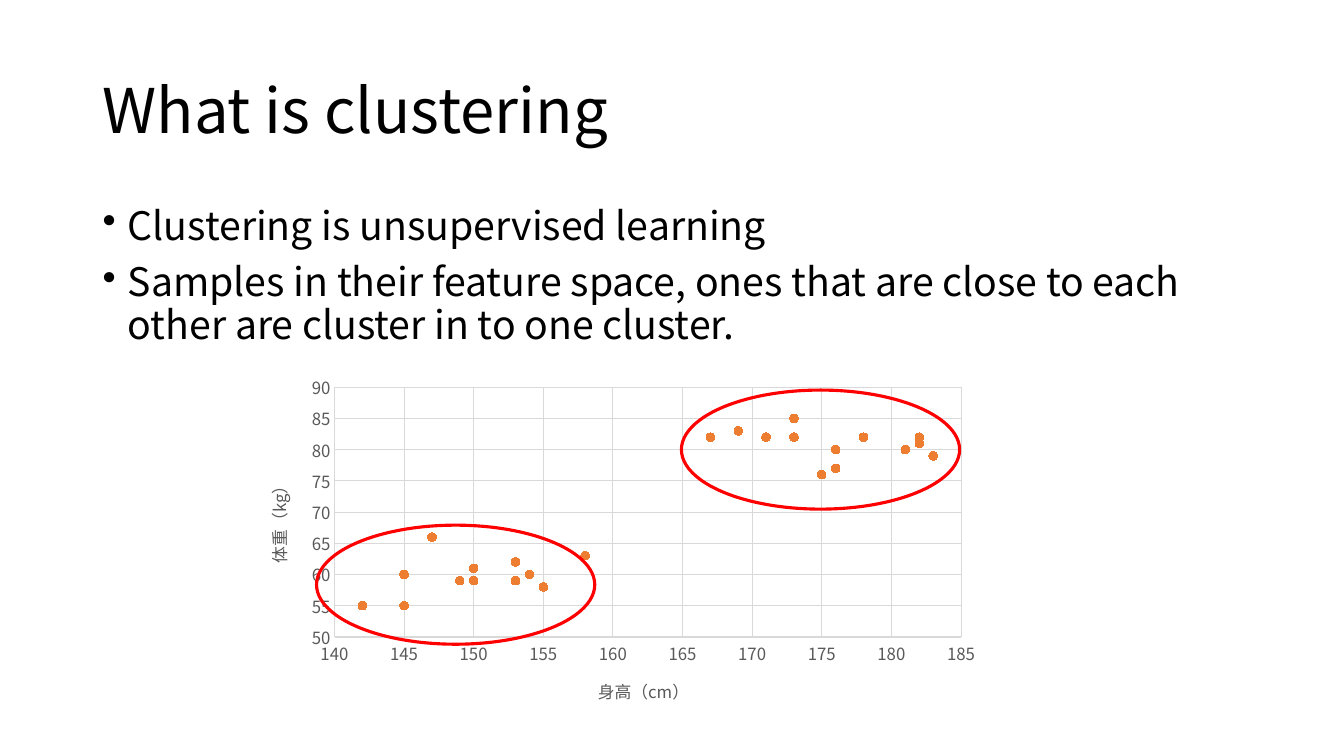
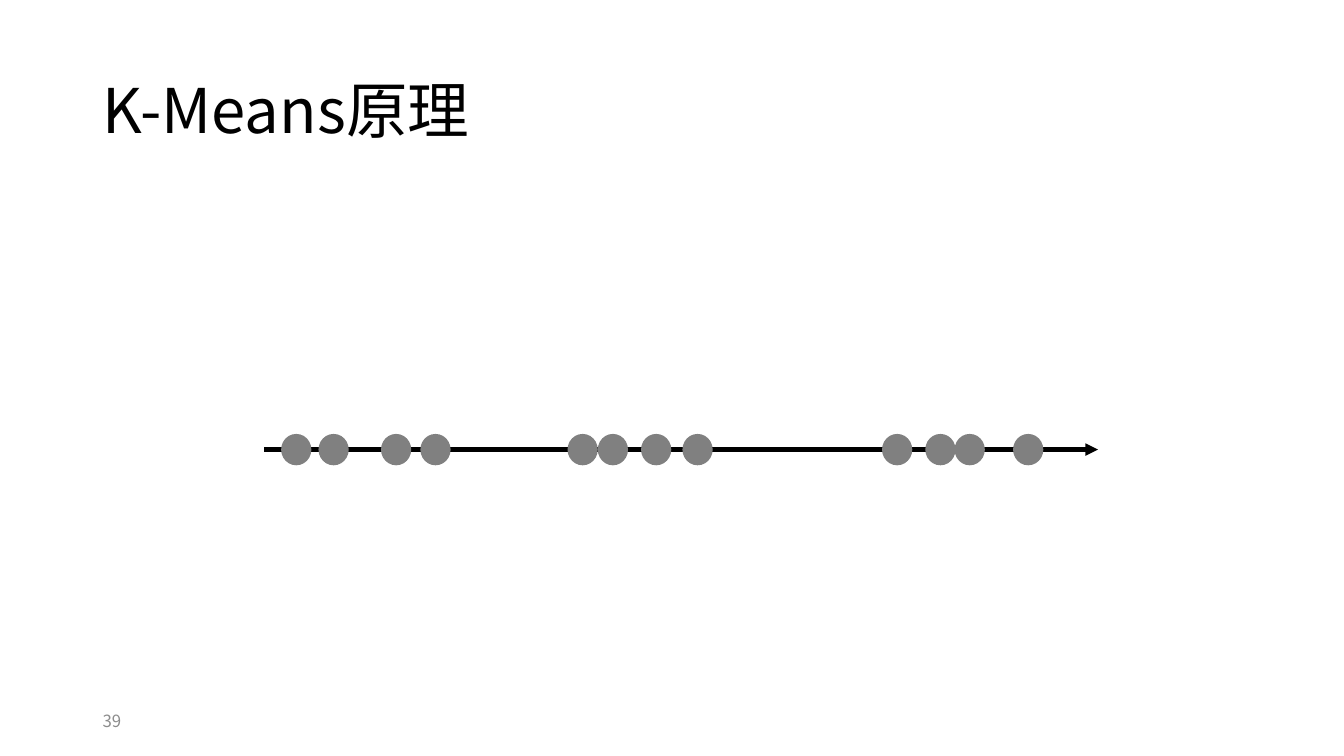
"""Build two slides that introduce clustering and the K-Means principle."""
from lxml.etree import SubElement
from pptx import Presentation
from pptx.chart.data import XyChartData
from pptx.dml.color import RGBColor as RGB
from pptx.enum.chart import XL_CHART_TYPE as CHART, XL_MARKER_STYLE as MARKER
from pptx.enum.chart import XL_TICK_MARK as TICK
from pptx.enum.shapes import MSO_CONNECTOR as CONNECTOR, MSO_SHAPE as SHAPE
from pptx.enum.text import MSO_ANCHOR as ANCHOR
from pptx.oxml import parse_xml
from pptx.oxml.ns import nsdecls, qn
from pptx.util import Inches, Pt

WIDTH, HEIGHT = Inches(13.33), Inches(7.5)
FONT = "Noto Sans CJK SC"
COLORS = {"text": "000000", "axis": "595959", "grid": "D9D9D9", "sample": "ED7D31",
          "ring": "FF0000", "dot": "808080", "number": "8C8C8C"}
STYLES = {
    "title": {"size": Pt(44), "color": "text"},
    "body": {"size": Pt(28), "color": "text"},
    "axis": {"size": Pt(12), "color": "axis", "bold": False},
    "number": {"size": Pt(12), "color": "number"},
}
LEFT, TEXT_WIDTH = 6.9, 86.25
RING_SIZE = (20.7, 15.75)
RINGS = [(50.7, 51.6), (23.55, 69.47)]
LINE_Y, DOT_WIDTH, DOT_HEIGHT = 59.47, 2.25, 4.15
DOTS = [20.92, 23.7, 28.35, 31.28, 42.23, 44.48, 47.7, 50.78, 65.63, 68.85, 71.03, 75.38]
PLOT_AREA = {"x": 0.12, "y": 0.06, "w": 0.84, "h": 0.7}
SAMPLES = [
    (176, 80), (181, 80), (182, 81), (176, 77), (173, 82), (167, 82), (178, 82), (175, 76),
    (182, 82), (169, 83), (173, 85), (171, 82), (183, 79), (178, 82), (171, 82),
    (150, 61), (142, 55), (153, 62), (150, 59), (147, 66), (145, 60), (150, 61), (139, 61),
    (145, 55), (153, 59), (158, 63), (136, 56), (155, 58), (154, 60), (149, 59),
]


def place(x, y, *size):
    """Turn percentages of the slide's width and height into lengths."""
    sides = (WIDTH, HEIGHT) * 2
    return [int(side * share / 100) for side, share in zip(sides, (x, y, *size))]


def paint(fill, color):
    """Give a fill one of the named colours."""
    fill.solid()
    fill.fore_color.rgb = RGB.from_string(COLORS[color])


def style_font(font, style):
    """Apply a named text style for Latin and East Asian letters."""
    values = dict(STYLES[style], name=FONT)
    paint(font.fill, values.pop("color"))
    for name, value in values.items():
        setattr(font, name, value)
    SubElement(font._rPr, qn("a:ea"), typeface=FONT)


def add_bullet(p):
    """Give a paragraph a round bullet with a hanging indent."""
    pPr = p._p.get_or_add_pPr()
    pPr.set("marL", str(Inches(0.25)))
    pPr.set("indent", str(-Inches(0.25)))
    SubElement(pPr, qn("a:buChar"), char="•")


def add_text(slide, lines, box, style, anchor=ANCHOR.MIDDLE, bullets=False, spacing=0.9):
    """Add a wrapped text box with one paragraph per line."""
    tf = slide.shapes.add_textbox(*place(*box)).text_frame
    tf.word_wrap, tf.vertical_anchor = True, anchor
    for i, line in enumerate(lines):
        p = tf.add_paragraph() if i else tf.paragraphs[0]
        if bullets:
            add_bullet(p)
        p.line_spacing = spacing
        if i:
            p.space_before = Pt(10)
        r = p.add_run()
        r.text = line
        style_font(r.font, style)


def add_slide(prs, title):
    """Add a blank slide with the shared title."""
    slide = prs.slides.add_slide(prs.slide_layouts[6])
    add_text(slide, [title], (LEFT, 5.33, TEXT_WIDTH, 19.33), "title")
    return slide


def add_ellipse(slide, box, fill=None, line=None):
    """Add a filled dot or an outlined ring."""
    sp = slide.shapes.add_shape(SHAPE.OVAL, *place(*box))
    sp.shadow.inherit = False
    for target, color in ((sp.fill, fill), (sp.line.fill, line)):
        if color:
            paint(target, color)
        else:
            target.background()
    if line:
        sp.line.width = Pt(2.25)


def add_arrow(slide, start, end):
    """Add a thick line that ends in a triangular head."""
    line = slide.shapes.add_connector(CONNECTOR.STRAIGHT, *place(*start), *place(*end))
    paint(line.line.fill, "text")
    line.line.width = Pt(3)
    SubElement(line.line._get_or_add_ln(), qn("a:tailEnd"), type="triangle")
    SubElement(line._element.spPr, qn("a:effectLst"))


def style_axis(axis, title, low, high):
    """Set an axis's title, scale, grid and labels."""
    values = {"minimum_scale": low, "maximum_scale": high, "major_unit": 5,
              "major_tick_mark": TICK.NONE, "minor_tick_mark": TICK.NONE,
              "has_major_gridlines": True}
    for name, value in values.items():
        setattr(axis, name, value)
    axis.format.line.fill.background()
    grid = axis.major_gridlines.format.line
    paint(grid.fill, "grid")
    grid.width = Pt(0.75)
    style_font(axis.tick_labels.font, "axis")
    r = axis.axis_title.text_frame.paragraphs[0].add_run()
    r.text = title
    style_font(r.font, "axis")


def fix_plot_area(chart):
    """Pin the inner plot area to fixed shares of the chart."""
    area = chart._chartSpace.chart.plotArea
    for old in area.findall(qn("c:layout")):
        area.remove(old)
    modes = '<c:xMode val="edge"/><c:yMode val="edge"/>'
    shares = "".join(f'<c:{side} val="{share}"/>' for side, share in PLOT_AREA.items())
    area.insert(0, parse_xml(
        f'<c:layout {nsdecls("c")}><c:manualLayout><c:layoutTarget val="inner"/>'
        f"{modes}{shares}</c:manualLayout></c:layout>"))


def add_scatter(slide, box):
    """Add the scatter chart of heights and weights."""
    data = XyChartData()
    series = data.add_series("Series 1")
    for height, weight in SAMPLES:
        series.add_data_point(height, weight)
    chart = slide.shapes.add_chart(CHART.XY_SCATTER, *place(*box), data).chart
    chart.has_title = chart.has_legend = False
    chart.font.name, chart.font.size = FONT, Pt(10)
    plot = chart.plots[0]
    plot.vary_by_categories = False
    points = plot.series[0]
    points.format.line.fill.background()
    points.marker.style, points.marker.size = MARKER.CIRCLE, 6
    paint(points.marker.format.fill, "sample")
    points.marker.format.line.fill.background()
    style_axis(chart.category_axis, "身高（cm）", 140, 185)
    style_axis(chart.value_axis, "体重（kg）", 50, 90)
    fix_plot_area(chart)


def build_clustering(prs):
    """Build the slide that explains clustering."""
    slide = add_slide(prs, "What is clustering")
    add_text(slide, ["Clustering is unsupervised learning",
                     "Samples in their feature space, ones that are close to each other "
                     "are cluster in to one cluster."],
             (LEFT, 26.67, TEXT_WIDTH, 63.5), "body", ANCHOR.TOP, bullets=True)
    add_scatter(slide, (18.23, 48.4, 55.5, 47.2))
    for corner in RINGS:
        add_ellipse(slide, corner + RING_SIZE, line="ring")


def build_kmeans(prs):
    """Build the slide with samples along one axis."""
    slide = add_slide(prs, "K-Means原理")
    add_text(slide, ["39"], (LEFT, 92.67, 22.5, 5.33), "number", spacing=1.0)
    add_arrow(slide, (19.65, LINE_Y), (81.7, LINE_Y))
    for x in DOTS:
        add_ellipse(slide, (x, LINE_Y - DOT_HEIGHT / 2, DOT_WIDTH, DOT_HEIGHT), fill="dot")


def main():
    """Build and save the presentation."""
    prs = Presentation()
    prs.slide_width, prs.slide_height = WIDTH, HEIGHT
    build_clustering(prs)
    build_kmeans(prs)
    prs.save("out.pptx")


if __name__ == "__main__":
    main()
